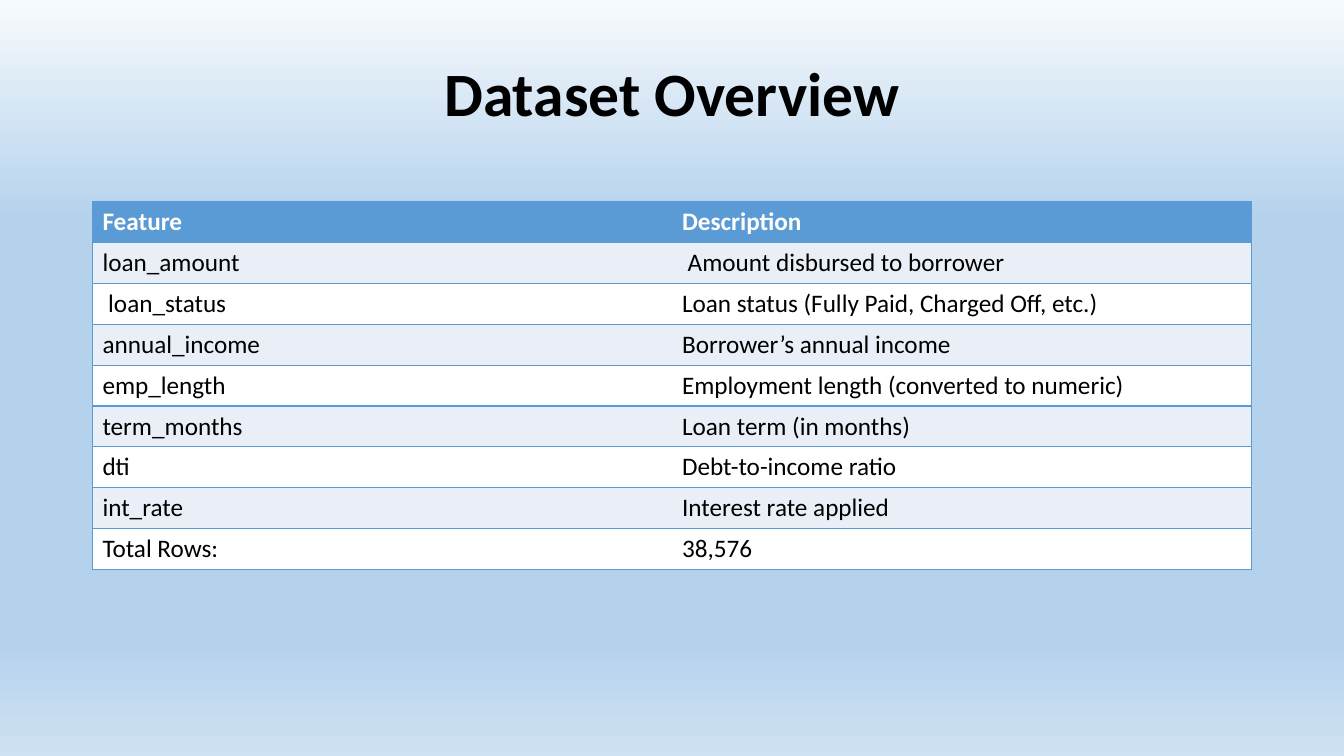
import copy

import pptx
import pptx.dml.color
import pptx.enum.text
import pptx.oxml
import pptx.oxml.ns
import pptx.util
from pptx.util import Cm

ACCENT = "5B9BD5"
BAND_FILLS = ["FFFFFF", "EAEFF7"]
BACKGROUND_STOPS = [(0, "F7FAFD"), (0.29, "B5D2EC"), (0.85, "B5D2EC"), (1, "CEE1F2")]
FEATURES = [
    ("Feature", "Description"),
    ("loan_amount", " Amount disbursed to borrower"),
    (" loan_status", "Loan status (Fully Paid, Charged Off, etc.)"),
    ("annual_income", "Borrower’s annual income"),
    ("emp_length", "Employment length (converted to numeric)"),
    ("term_months", "Loan term (in months)"),
    ("dti", "Debt-to-income ratio"),
    ("int_rate", "Interest rate applied"),
    ("Total Rows:", "38,576"),
]
LEFT, WIDTH, ROW_HEIGHT = 2.33, 29.21, 1.03


def rgb(hex_color):
    return pptx.dml.color.RGBColor.from_string(hex_color)


def write(frame, text, size=18, color="000000", bold=False, align=pptx.enum.text.PP_ALIGN.LEFT):
    paragraph = frame.paragraphs[0]
    paragraph.alignment = align
    run = paragraph.add_run()
    run.text = text
    run.font.name = "Calibri"
    run.font.size = pptx.util.Pt(size)
    run.font.bold = bold
    run.font.color.rgb = rgb(color)


deck = pptx.Presentation()
deck.slide_width, deck.slide_height = Cm(33.87), Cm(19.05)
slide = deck.slides.add_slide(deck.slide_layouts[5])

# Background: pale at both ends, running from top to bottom
background = slide.background.fill
background.gradient()
background.gradient_angle = 270
stop_list = slide.element.find(".//" + pptx.oxml.ns.qn("a:gsLst"))
for first_stop in list(stop_list):
    stop_list.append(copy.deepcopy(first_stop))
for stop, (position, color) in zip(background.gradient_stops, BACKGROUND_STOPS):
    stop.position = position
    stop.color.rgb = rgb(color)

# Title
heading = slide.shapes.title
heading.left, heading.top, heading.width, heading.height = Cm(LEFT), Cm(1.02), Cm(WIDTH), Cm(2.84)
heading.text_frame.vertical_anchor = pptx.enum.text.MSO_ANCHOR.MIDDLE
write(heading.text_frame, "Dataset Overview", size=44, bold=True, align=pptx.enum.text.PP_ALIGN.CENTER)
heading.text_frame.paragraphs[0].line_spacing = 0.9

# Feature table
overview = slide.shapes.add_table(
    len(FEATURES), 2, Cm(LEFT), Cm(5.08), Cm(WIDTH), Cm(ROW_HEIGHT * len(FEATURES))
).table
for row in overview.rows:
    row.height = Cm(ROW_HEIGHT)

for row_number, entry in enumerate(FEATURES):
    is_header = row_number == 0
    for column_number, text in enumerate(entry):
        cell = overview.cell(row_number, column_number)
        write(cell.text_frame, text, color="FFFFFF" if is_header else "000000", bold=is_header)

        # Every edge is ruled except the one between the two columns
        inner_edge = "R" if column_number == 0 else "L"
        cell_properties = cell._tc.get_or_add_tcPr()
        for edge in "LRTB":
            paint = (
                "<a:noFill/>" if edge == inner_edge
                else f'<a:solidFill><a:srgbClr val="{ACCENT}"/></a:solidFill>'
            )
            cell_properties.append(pptx.oxml.parse_xml(
                f'<a:ln{edge} {pptx.oxml.ns.nsdecls("a")} w="12700">{paint}</a:ln{edge}>'
            ))
        cell.fill.solid()
        cell.fill.fore_color.rgb = rgb(ACCENT if is_header else BAND_FILLS[row_number % 2])

deck.save("out.pptx")
